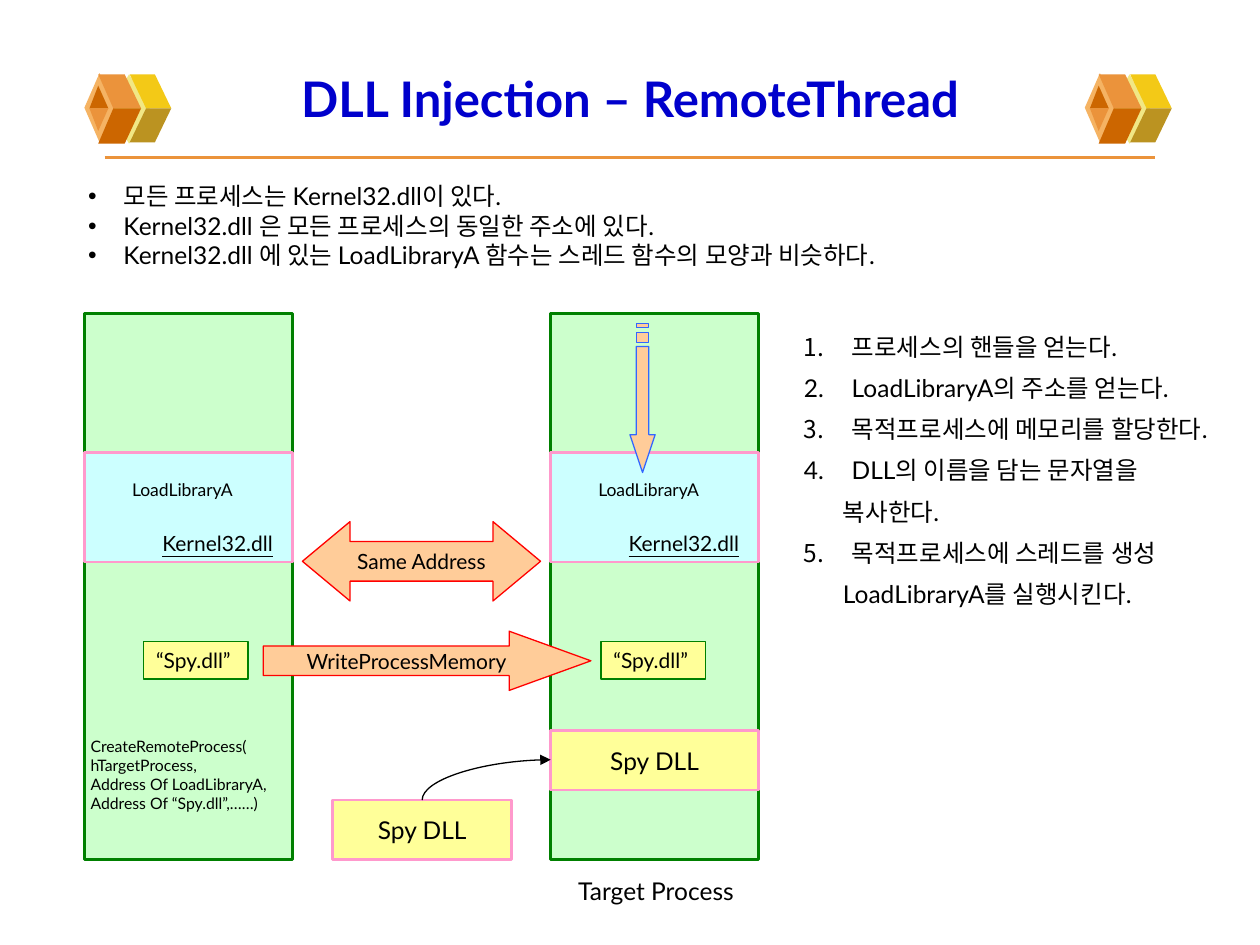
from lxml.etree import SubElement
from pptx import Presentation
from pptx.dml.color import RGBColor
from pptx.enum.shapes import MSO_CONNECTOR as Link, MSO_SHAPE as Kind
from pptx.enum.text import MSO_ANCHOR as Anchor, MSO_AUTO_SIZE as Auto, PP_ALIGN as Align
from pptx.oxml.ns import qn
from pptx.util import Inches, Pt

BLACK = RGBColor(0x00, 0x00, 0x00)
NAVY = RGBColor(0x00, 0x00, 0xCC)
BLUE = RGBColor(0x33, 0x66, 0xFF)
GREEN = RGBColor(0x00, 0x80, 0x00)
MINT = RGBColor(0xCC, 0xFF, 0xCC)
CYAN = RGBColor(0xCC, 0xFF, 0xFF)
PINK = RGBColor(0xFF, 0x99, 0xCC)
YELLOW = RGBColor(0xFF, 0xFF, 0x99)
PEACH = RGBColor(0xFF, 0xCC, 0x99)
RED = RGBColor(0xFF, 0x00, 0x00)
ORANGE = RGBColor(0xEB, 0x93, 0x3B)
RUST = RGBColor(0xCC, 0x66, 0x00)
AMBER = RGBColor(0xF5, 0xB3, 0x63)
CREAM = RGBColor(0xF1, 0xE7, 0x85)
GOLD = RGBColor(0xF3, 0xC9, 0x17)
OLIVE = RGBColor(0xBB, 0x93, 0x21)

TITLE = "DLL Injection – RemoteThread"
FACTS = [
    "모든 프로세스는 Kernel32.dll이 있다.",
    "Kernel32.dll 은 모든 프로세스의 동일한 주소에 있다.",
    "Kernel32.dll 에 있는 LoadLibraryA 함수는 스레드 함수의 모양과 비슷하다.",
]
# Each step is a list of lines; only the first line has a number.
STEPS = [
    ["프로세스의 핸들을 얻는다."],
    ["LoadLibraryA의 주소를 얻는다."],
    ["목적프로세스에 메모리를 할당한다."],
    ["DLL의 이름을 담는 문자열을", "복사한다."],
    ["목적프로세스에 스레드를 생성", "LoadLibraryA를 실행시킨다."],
]
CALL = ["CreateRemoteProcess(", "hTargetProcess,",
        "Address Of LoadLibraryA,", "Address Of “Spy.dll”,……)"]

# Cube faces in drawing order: a diamond has a box, a face has corners.
CUBE = [
    (CREAM, "diamond", (0.86, 0.59, 0.33, 0.55)),
    (GOLD, "face", [(1.16, 0.86), (1.36, 0.86), (1.23, 0.59), (1.03, 0.59)]),
    (OLIVE, "face", [(1.16, 0.86), (1.36, 0.86), (1.23, 1.13), (1.03, 1.13)]),
    (AMBER, "diamond", (0.67, 0.58, 0.24, 0.55)),
    (ORANGE, "face", [(0.9, 0.86), (1.12, 0.86), (0.99, 0.59), (0.78, 0.59)]),
    (RUST, "face", [(0.9, 0.86), (1.12, 0.86), (0.99, 1.14), (0.78, 1.14)]),
    (RUST, "face", [(0.78, 0.68), (0.71, 0.86), (0.86, 0.86)]),
    (ORANGE, "face", [(0.78, 1.04), (0.71, 0.86), (0.86, 0.86)]),
]
CUBE_GAP = 7.94
THREAD = [
    [(5.2, 3.45), (5.15, 3.45), (5.15, 2.75), (5.05, 2.75),
     (5.05, 3.45), (5, 3.45), (5.1, 3.75)],
    [(5.15, 2.64), (5.05, 2.64), (5.05, 2.72), (5.15, 2.72)],
    [(5.15, 2.57), (5.05, 2.57), (5.05, 2.6), (5.15, 2.6)],
]
LEFT, RIGHT, WIDE = 0.67, 4.37, 1.65

deck = Presentation()
deck.slide_width, deck.slide_height = Inches(10), Inches(7.5)
slide = deck.slides.add_slide(deck.slide_layouts[3])
shapes = slide.shapes


def inch(*nums):
    return [Inches(n) for n in nums]


def write(frame, lines, size, align=Align.LEFT, anchor=Anchor.TOP,
          color=BLACK, space=1.0, **extra):
    look = dict(name="Lato", size=Pt(size), **extra)
    frame.word_wrap, frame.auto_size = False, Auto.NONE
    frame.vertical_anchor = anchor
    for i, line in enumerate(lines):
        para = frame.add_paragraph() if i else frame.paragraphs[0]
        para.alignment, para.line_spacing = align, space
        para.space_before = Pt(0)
        run = para.add_run()
        run.text = line
        run.font.color.rgb = color
        for key, value in look.items():
            setattr(run.font, key, value)


def paint(shape, fill, edge=None, width=0.75):
    shape.shadow.inherit = False
    shape.fill.solid()
    shape.fill.fore_color.rgb = fill
    if edge is None:
        shape.line.fill.background()
    else:
        shape.line.color.rgb = edge
        shape.line.width = Pt(width)
    return shape


def block(at, fill, edge=None, width=0.75, kind=Kind.RECTANGLE):
    return paint(shapes.add_shape(kind, *inch(*at)), fill, edge, width)


def label(at, lines, size, **extra):
    write(shapes.add_textbox(*inch(*at)).text_frame, lines, size, **extra)


def center(shape, text, size):
    write(shape.text_frame, [text], size, Align.CENTER, Anchor.MIDDLE)


def outline(paths, fill, edge=None):
    pen = None
    for path in paths:
        first, *rest = [inch(*point) for point in path]
        if pen is None:
            pen = shapes.build_freeform(*first, scale=1.0)
        else:
            pen.move_to(*first)
        pen.add_line_segments(rest, close=True)
    return paint(pen.convert_to_shape(), fill, edge)


def link(kind, ends, color, width):
    line = shapes.add_connector(kind, *inch(*ends))
    line.line.color.rgb = color
    line.line.width = Pt(width)
    SubElement(line._element.spPr, qn("a:effectLst"))
    return line


def mark(para, margin, indent, tag, **attrs):
    """Set the indents and the bullet of a paragraph."""
    props = para._p.get_or_add_pPr()
    props.set("marL", str(Inches(margin)))
    props.set("indent", str(Inches(indent)))
    SubElement(props, qn(tag), attrs)


def place(index, at):
    holder = slide.placeholders[index]
    holder.left, holder.top, holder.width, holder.height = inch(*at)
    return holder.text_frame


# Title and lists
write(place(0, (0.5, 0.3, 9, 0.95)), [TITLE], 28, Align.CENTER,
      Anchor.MIDDLE, NAVY, bold=True)

facts = place(1, (0.6, 1.39, 6.7, 0.8))
write(facts, FACTS, 14)
for para in facts.paragraphs:
    mark(para, 0.28, -0.28, "a:buChar", char="•")

steps = place(2, (6.28, 2.49, 3.77, 2.39))
write(steps, [line for step in STEPS for line in step], 14, space=1.4)
paras = iter(steps.paragraphs)
for num, step in enumerate(STEPS, 1):
    mark(next(paras), 0.38, -0.38, "a:buAutoNum", type="arabicPeriod", startAt=str(num))
    for _ in step[1:]:
        mark(next(paras), 0.31, 0, "a:buNone")

# Header ornament
link(Link.STRAIGHT, (0.83, 1.25, 9.17, 1.25), ORANGE, 2.25)
for shift in (0, CUBE_GAP):
    for fill, kind, data in CUBE:
        if kind == "diamond":
            x, *rest = data
            block((x + shift, *rest), fill, kind=Kind.DIAMOND)
        else:
            outline([[(x + shift, y) for x, y in data]], fill)

# Both processes
for x in (LEFT, RIGHT):
    block((x, 2.49, WIDE, 4.33), MINT, GREEN, 1.5)
    block((x, 3.59, WIDE, 0.87), CYAN, PINK, 1.5)
    label((x + 0.52, 4.16, 1.13, 0.3), ["Kernel32.dll"], 12, underline=True)
outline(THREAD, PEACH, BLUE)
for x in (LEFT, RIGHT):
    label((x + 0.28, 3.75, 1.06, 0.27), ["LoadLibraryA"], 10)
for x in (1.14, 4.77):
    name = block((x, 5.09, 0.83, 0.3), YELLOW, GREEN)
    write(name.text_frame, ["“Spy.dll”"], 12)

# Arrows between the processes
for text, kind, at, head in [
    ("Same Address", Kind.LEFT_RIGHT_ARROW, (2.4, 4.14, 1.89, 0.63), 0.6),
    ("WriteProcessMemory", Kind.RIGHT_ARROW, (2.09, 5.01, 2.6, 0.47), 1.38),
]:
    arrow = block(at, PEACH, RED, kind=kind)
    arrow.adjustments[1] = head
    center(arrow, text, 12)

# Injected library
spy = block((2.64, 6.35, 1.42, 0.47), YELLOW, PINK, 1.5)
slot = block((RIGHT, 5.8, WIDE, 0.47), YELLOW, PINK, 1.5)
for shape in (spy, slot):
    center(shape, "Spy DLL", 14)
curve = link(Link.CURVE, (3.35, 6.35, 4.37, 6.03), BLACK, 0.75)
curve.begin_connect(spy, 0)
curve.end_connect(slot, 1)
curve.left, curve.top, curve.width, curve.height = inch(3.7, 5.68, 0.32, 1.02)
form = curve._element.spPr
form.find(qn("a:prstGeom")).set("prst", "curvedConnector2")
for key, value in {"rot": "5400000", "flipH": "1", "flipV": "1"}.items():
    form.find(qn("a:xfrm")).set(key, value)
SubElement(form.find(qn("a:ln")), qn("a:tailEnd"), type="triangle")

label((0.62, 5.8, 1.69, 0.7), CALL, 9)
label((4.49, 6.9, 1.55, 0.34), ["Target Process"], 14)

deck.save("out.pptx")
